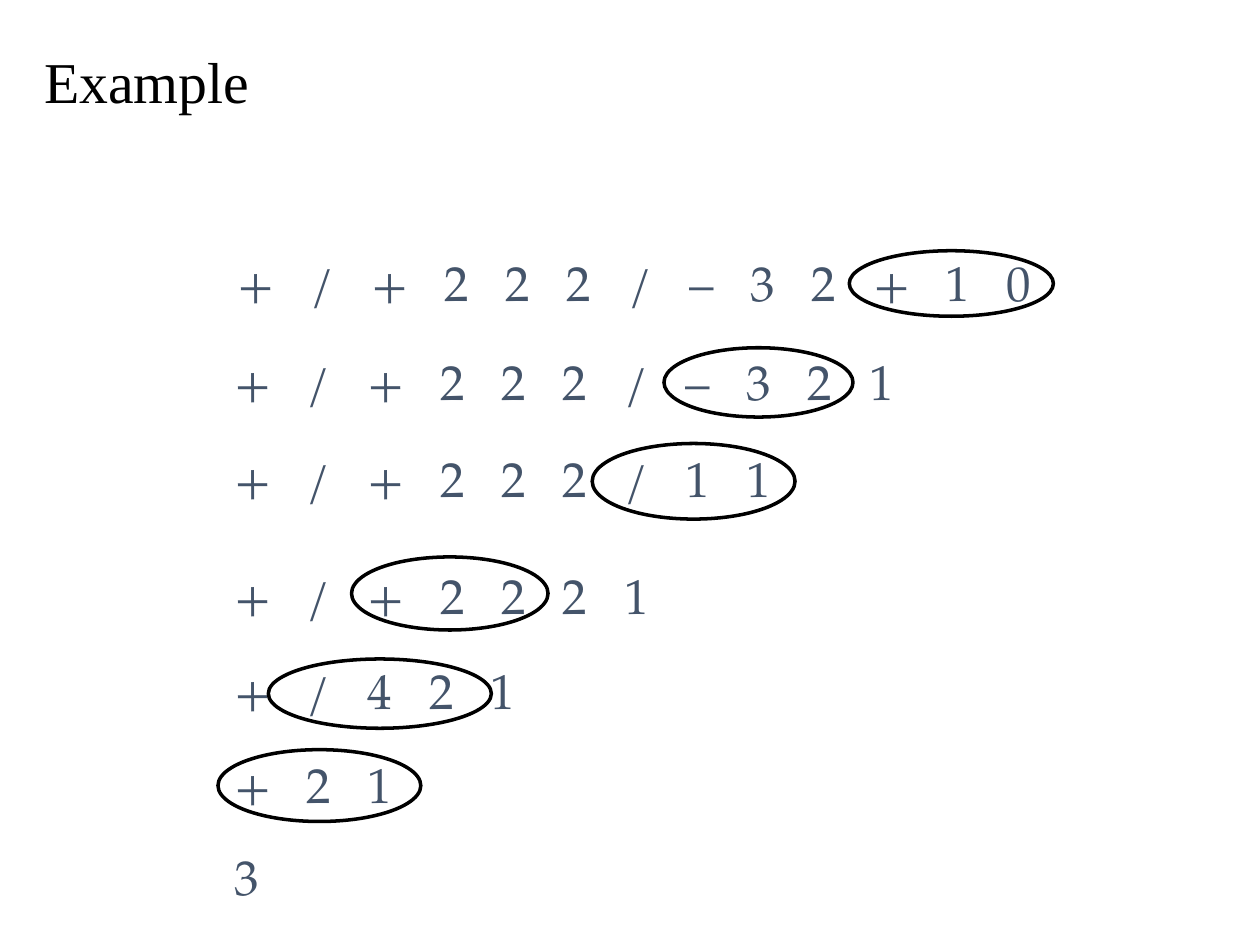
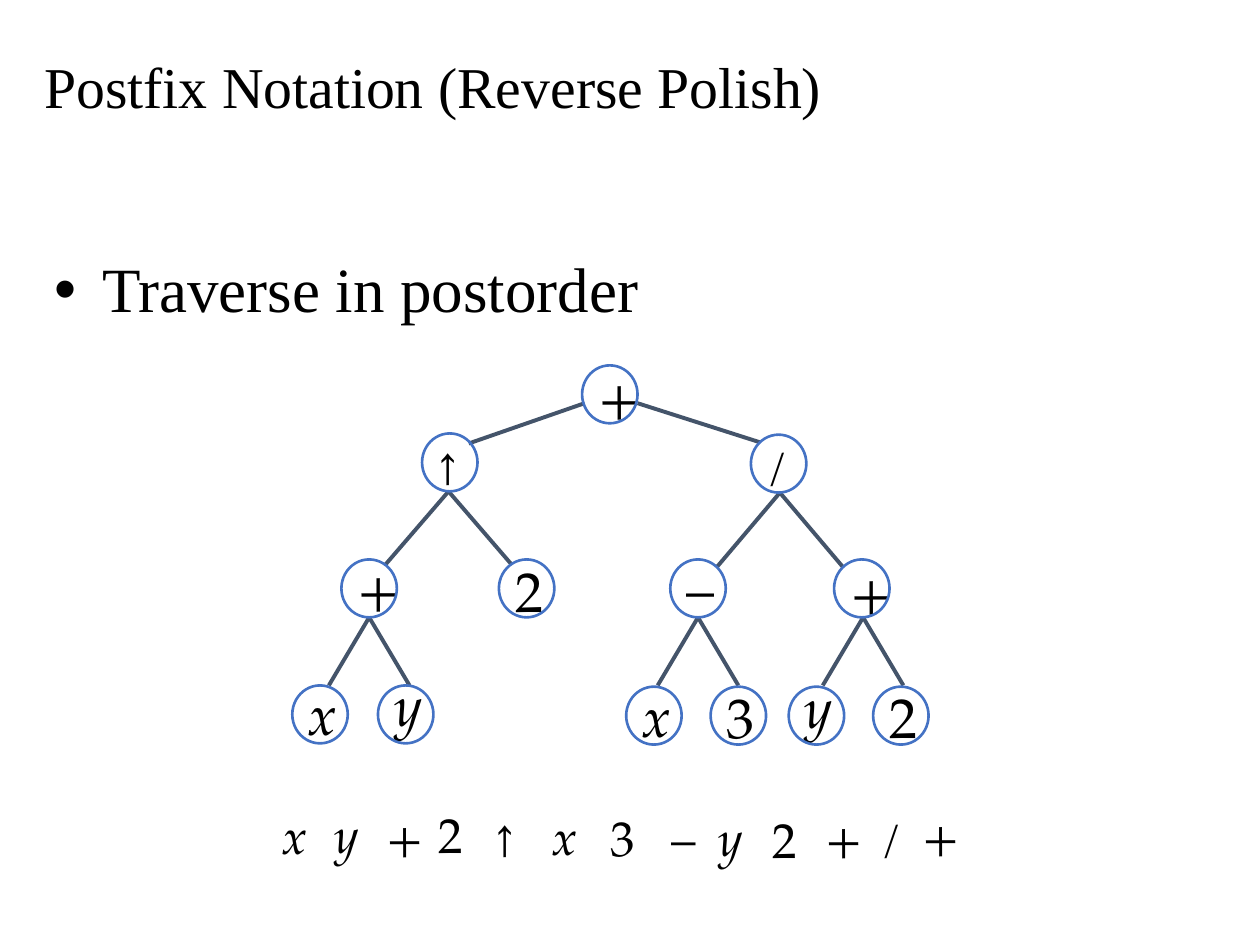
from lxml import etree
from pptx import Presentation
from pptx.dml.color import RGBColor
from pptx.enum.shapes import MSO_CONNECTOR, MSO_SHAPE
from pptx.enum.text import MSO_ANCHOR, MSO_AUTO_SIZE, PP_ALIGN
from pptx.oxml.ns import qn
from pptx.util import Inches, Pt

LINE = MSO_CONNECTOR.STRAIGHT
OVAL = MSO_SHAPE.OVAL
MID, TOP = MSO_ANCHOR.MIDDLE, MSO_ANCHOR.TOP
FIT, FIXED = MSO_AUTO_SIZE.SHAPE_TO_FIT_TEXT, MSO_AUTO_SIZE.NONE
LEFT, MIDST = PP_ALIGN.LEFT, PP_ALIGN.CENTER

COLORS = {"ink": "000000", "slate": "44546A", "blue": "4472C4"}
SERIF, MATH = "Times New Roman", "TeX Gyre Pagella"
STEP, WIDE = 1.25, 1.48

ROWS = [
    ("+ / + 2 2 2 / – 3 2 + 1 0", (1.79, 2.01, 7.01, 0.52), (6.74, 1.99, 1.62, 0.52)),
    ("+ / + 2 2 2 / – 3 2 1", (1.76, 2.74, 5.73, 0.57), (5.27, 2.76, 1.5, 0.55)),
    ("+ / + 2 2 2 / 1 1", (1.76, 3.51, 4.85, 0.57), (4.7, 3.52, 1.61, 0.6)),
    ("+ / + 2 2 2 1", (1.76, 4.44, 3.8, 0.57), (2.79, 4.42, 1.56, 0.58)),
    ("+ / 4 2 1", (1.76, 5.19, 2.98, 0.57), (2.13, 5.23, 1.77, 0.55)),
    ("+ 2 1", (1.76, 5.94, 1.96, 0.57), (1.73, 5.95, 1.61, 0.57)),
    ("3", (1.76, 6.67, 0.4, 0.57), None),
]
NODES = [
    ("+", 4.62, 2.9, 0.08),
    ("↑", 3.35, 3.44, 0.01), ("/", 5.96, 3.45, 0.02),
    ("+", 2.71, 4.44, 0.1), ("2", 3.96, 4.44, 0.07),
    ("–", 5.32, 4.44, 0.1), ("+", 6.62, 4.44, 0.07),
    ("x", 2.32, 5.44, 0.1), ("y", 3, 5.44, 0.17),
    ("x", 4.97, 5.45, 0.09), ("3", 5.64, 5.45, 0.08),
    ("y", 6.26, 5.45, 0.16), ("2", 6.93, 5.45, 0.08),
]
FORKS = [
    (3.56, 3.9, 0.5, 0.58), (6.19, 3.91, 0.5, 0.59),
    (2.93, 4.9, 0.32, 0.54), (5.54, 4.9, 0.32, 0.54), (6.85, 4.9, 0.32, 0.54),
]
POST = [
    ("x", 2.14, 6.34, True), ("y", 2.55, 6.33, True), ("+", 2.97, 6.35, True),
    ("2", 3.38, 6.33, False), ("↑", 3.81, 6.38, False), ("x", 4.28, 6.35, True),
    ("3", 4.74, 6.36, False), ("–", 5.23, 6.36, False), ("y", 5.6, 6.36, True),
    ("2", 6.03, 6.37, False), ("+", 6.45, 6.36, False), ("/", 6.88, 6.38, False),
    ("+", 7.22, 6.34, True),
]


class Deck:
    def __init__(self):
        self.prs = Presentation()
        self.prs.slide_width, self.prs.slide_height = Inches(10), Inches(7.5)
        self.slide = None

    def start(self, kind, title, box):
        self.slide = self.prs.slides.add_slide(self.prs.slide_layouts[kind])
        self.holder(self.slide.shapes.title, title, box, 33, MID)

    def holder(self, shape, text, box, size, anchor):
        shape.left, shape.top, shape.width, shape.height = map(Inches, box)
        frame = shape.text_frame
        frame.auto_size, frame.vertical_anchor = FIXED, anchor
        para = frame.paragraphs[0]
        para.alignment, para.line_spacing, para.space_before = LEFT, 0.9, Pt(0)
        self.run(para, text, size, SERIF)
        return para

    def run(self, para, text, size, face=MATH, color="ink", italic=False):
        run = para.add_run()
        run.text = text
        font = run.font
        font.name, font.size, font.italic = face, Pt(size), italic
        font.color.rgb = RGBColor.from_string(COLORS[color])

    def bullet(self, text, box):
        para = self.holder(self.slide.placeholders[1], text, box, 36, TOP)
        props = para._p.get_or_add_pPr()
        props.set("marL", str(Inches(0.38)))
        props.set("indent", str(-Inches(0.38)))
        etree.SubElement(props, qn("a:buChar")).set("char", "•")

    def label(self, box, wrap=False, align=LEFT, anchor=TOP):
        frame = self.slide.shapes.add_textbox(*map(Inches, box)).text_frame
        frame.word_wrap, frame.auto_size = wrap, FIT
        frame.vertical_anchor = anchor
        para = frame.paragraphs[0]
        para.alignment = align
        return para

    def sign(self, text, box, size, italic, **place):
        self.run(self.label(box, **place), text, size, italic=italic)

    def row(self, text, box, size=28):
        signs = text.split()
        para = self.label(box, wrap=len(signs) > 1)
        if box[3] < 0.57:
            para.line_spacing = 0.9
        tabs = etree.SubElement(para._p.get_or_add_pPr(), qn("a:tabLst"))
        spot = 0
        for sign in signs[:-1]:
            spot += (WIDE if sign == "+" else STEP) * size / 72
            tab = etree.SubElement(tabs, qn("a:tab"))
            tab.set("pos", str(Inches(spot)))
            tab.set("algn", "l")
        self.run(para, "\t".join(signs), size, color="slate")

    def ring(self, box, color, width):
        shape = self.slide.shapes.add_shape(OVAL, *map(Inches, box))
        shape.shadow.inherit = False
        shape.fill.background()
        self.stroke(shape, color, width)

    def edge(self, *ends):
        line = self.slide.shapes.add_connector(LINE, *map(Inches, ends))
        self.stroke(line, "slate", 2.25)
        etree.SubElement(line._element.spPr, qn("a:effectLst"))

    def stroke(self, shape, color, width):
        shape.line.color.rgb = RGBColor.from_string(COLORS[color])
        shape.line.width = Pt(width)


def size_of(sign, full):
    return 24 if sign in "↑/" else full


def prefix(deck):
    deck.start(5, "Example", (0.25, 0.17, 9.58, 1))
    for text, box, ring in ROWS:
        deck.row(text, box)
        if ring:
            deck.ring(ring, "ink", 2)


def postfix(deck):
    deck.start(1, "Postfix Notation (Reverse Polish)", (0.25, 0.17, 9.5, 1.08))
    deck.bullet("Traverse in postorder", (0.33, 2, 6.6, 0.56))
    deck.edge(6.03, 3.51, 5.06, 3.2)
    deck.edge(3.72, 3.52, 4.64, 3.2)
    for x, y, wide, drop in FORKS:
        for side in (-wide, wide):
            deck.edge(x, y, x + side, y + drop)
    for sign, x, y, lift in NODES:
        size = size_of(sign, 32)
        wide = 0.47 if sign == "+" else 0.42 if size == 32 else 0.4
        box = (x + 0.03, y - lift, wide, 0.63 if size == 32 else 0.5)
        deck.sign(sign, box, size, sign in "xy")
        deck.ring((x, y, 0.44, 0.46), "blue", 1.5)
    for sign, x, y, slant in POST:
        size = size_of(sign, 28)
        box = (x, y, 0.44 if sign == "+" else 0.4, 0.57 if size == 28 else 0.5)
        deck.sign(sign, box, size, slant, align=MIDST, anchor=MID)


def main():
    deck = Deck()
    prefix(deck)
    postfix(deck)
    deck.prs.save("out.pptx")


if __name__ == "__main__":
    main()
